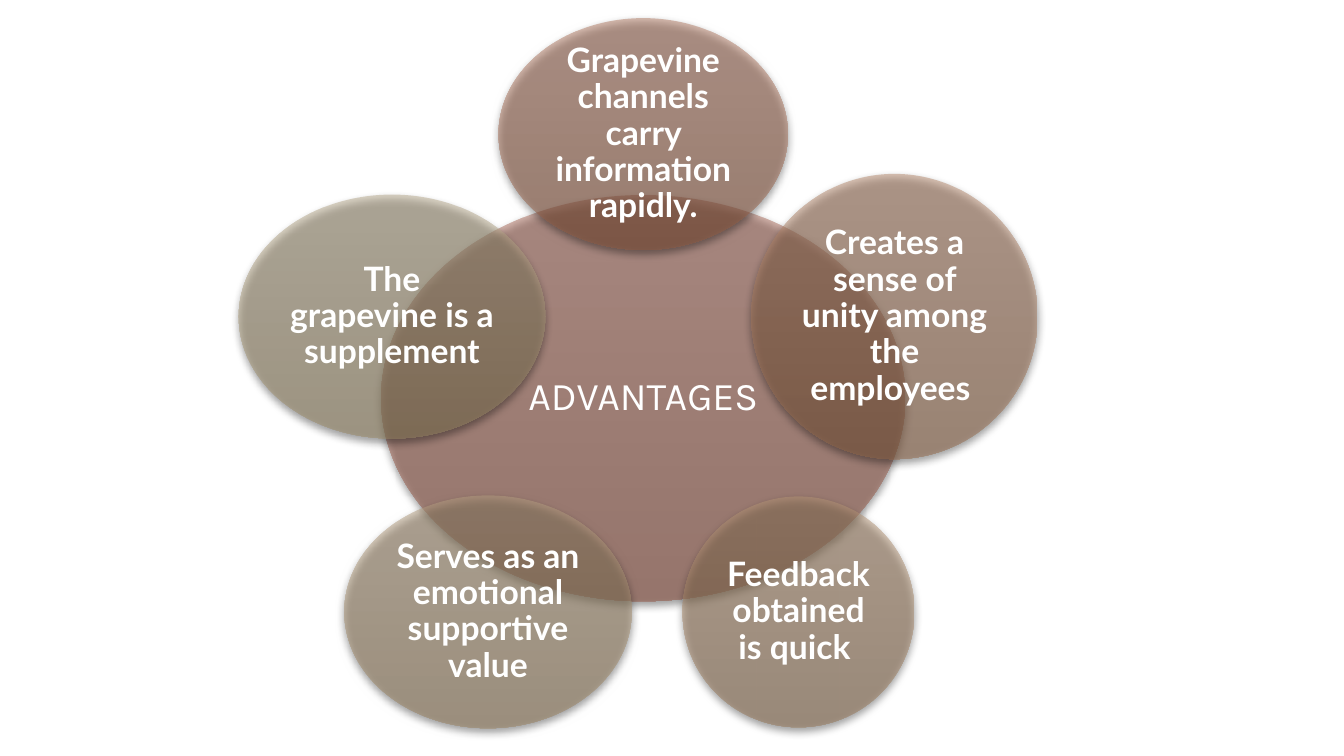
import math
from dataclasses import dataclass

import pptx
import pptx.dml.color
import pptx.enum.shapes
import pptx.enum.text
import pptx.util
from lxml import etree
from pptx.oxml.ns import qn

Inches = pptx.util.Inches


@dataclass(frozen=True)
class Theme:
    """Colours, fonts and type sizes of the slide."""
    text: str = "FFFFFF"
    shadow: str = "000000"
    hub: tuple = ("AD6E5E", "8E4D3A")
    petals: tuple = (
        ("B27B64", "925B41"),
        ("B5886C", "946849"),
        ("B59576", "957454"),
        ("B59F81", "987F5C"),
        ("B6A88B", "9A8964"),
    )
    hub_font: str = "Karla"
    petal_font: str = "Lato"
    hub_size: int = 28
    petal_size: int = 24
    fill_opacity: int = 50
    shadow_opacity: int = 75


THEME = Theme()
HUB_CENTER = (6.38, 3.95)
HUB_SIZE = (5.2, 4.03)
ORBIT = 2.62
PETALS = (
    ("Grapevine channels carry information rapidly.", (2.87, 2.3)),
    ("Creates a sense of unity among the employees ", (2.84, 2.83)),
    ("Feedback obtained is quick ", (2.3, 2.29)),
    ("Serves as an emotional supportive value", (2.85, 2.31)),
    ("The grapevine is a supplement", (3.04, 2.42)),
)


def rgb(value):
    """Return a colour object for a hex value."""
    return pptx.dml.color.RGBColor.from_string(value)


def apply_format(target, values):
    """Set each named attribute on the target."""
    for name, value in values.items():
        setattr(target, name, value)


def set_opacity(color_element, percent):
    """Add an opacity to a colour element."""
    etree.SubElement(color_element, qn("a:alpha"), val=str(percent * 1000))


def centered_box(center, size):
    """Return left, top, width and height around a center."""
    lengths = (center[0] - size[0] / 2, center[1] - size[1] / 2, *size)
    return [Inches(length) for length in lengths]


def add_shadow(shape):
    """Give the shape a soft shadow straight below it."""
    shape.shadow.inherit = False
    effects = shape._element.spPr.find(qn("a:effectLst"))
    shadow = etree.SubElement(
        effects, qn("a:outerShdw"), blurRad=str(pptx.util.Pt(6)),
        dist=str(pptx.util.Pt(3)), dir="5400000", rotWithShape="0")
    color = etree.SubElement(shadow, qn("a:srgbClr"), val=THEME.shadow)
    set_opacity(color, THEME.shadow_opacity)


def add_ellipse(shapes, center, size, colors):
    """Add a translucent ellipse with a vertical gradient."""
    shape = shapes.add_shape(
        pptx.enum.shapes.MSO_SHAPE.OVAL, *centered_box(center, size))
    shape.fill.gradient()
    shape.fill.gradient_angle = 270
    for position, (stop, color) in enumerate(zip(shape.fill.gradient_stops, colors)):
        stop.position = position
        stop.color.rgb = rgb(color)
    for color_element in shape._element.spPr.iter(qn("a:srgbClr")):
        set_opacity(color_element, THEME.fill_opacity)
    shape.line.fill.background()
    add_shadow(shape)


def add_label(shapes, center, size, text, inset, font):
    """Add centred text in the rectangle inscribed in an ellipse."""
    inner_size = [length / math.sqrt(2) for length in size]
    frame = shapes.add_textbox(*centered_box(center, inner_size)).text_frame
    margins = ("margin_left", "margin_top", "margin_right", "margin_bottom")
    apply_format(frame, {
        "word_wrap": True,
        "vertical_anchor": pptx.enum.text.MSO_ANCHOR.MIDDLE,
        **dict.fromkeys(margins, Inches(inset)),
    })
    paragraph = frame.paragraphs[0]
    apply_format(paragraph, {
        "alignment": pptx.enum.text.PP_ALIGN.CENTER,
        "line_spacing": 0.9,
    })
    run = paragraph.add_run()
    run.text = text
    apply_format(run.font, font)
    run.font.color.rgb = rgb(THEME.text)


def add_hub(shapes):
    """Add the central ellipse and its heading."""
    add_ellipse(shapes, HUB_CENTER, HUB_SIZE, THEME.hub)
    font = {"name": THEME.hub_font, "size": pptx.util.Pt(THEME.hub_size)}
    add_label(shapes, HUB_CENTER, HUB_SIZE, "ADVANTAGES", 0.04, font)


def add_petals(shapes):
    """Add the advantages clockwise around the hub, from the top."""
    font = {"name": THEME.petal_font, "size": pptx.util.Pt(THEME.petal_size), "bold": True}
    for index, ((text, size), colors) in enumerate(zip(PETALS, THEME.petals)):
        angle = math.tau * index / len(PETALS)
        center = (HUB_CENTER[0] + ORBIT * math.sin(angle),
                  HUB_CENTER[1] - ORBIT * math.cos(angle))
        add_ellipse(shapes, center, size, colors)
        add_label(shapes, center, size, text, 0.03, font)


def main():
    """Build the slide and save it."""
    presentation = pptx.Presentation()
    presentation.slide_width = Inches(13.33)
    presentation.slide_height = Inches(7.5)
    slide = presentation.slides.add_slide(presentation.slide_layouts[6])
    diagram = slide.shapes.add_group_shape()
    add_hub(diagram.shapes)
    add_petals(diagram.shapes)
    presentation.save("out.pptx")


if __name__ == "__main__":
    main()
